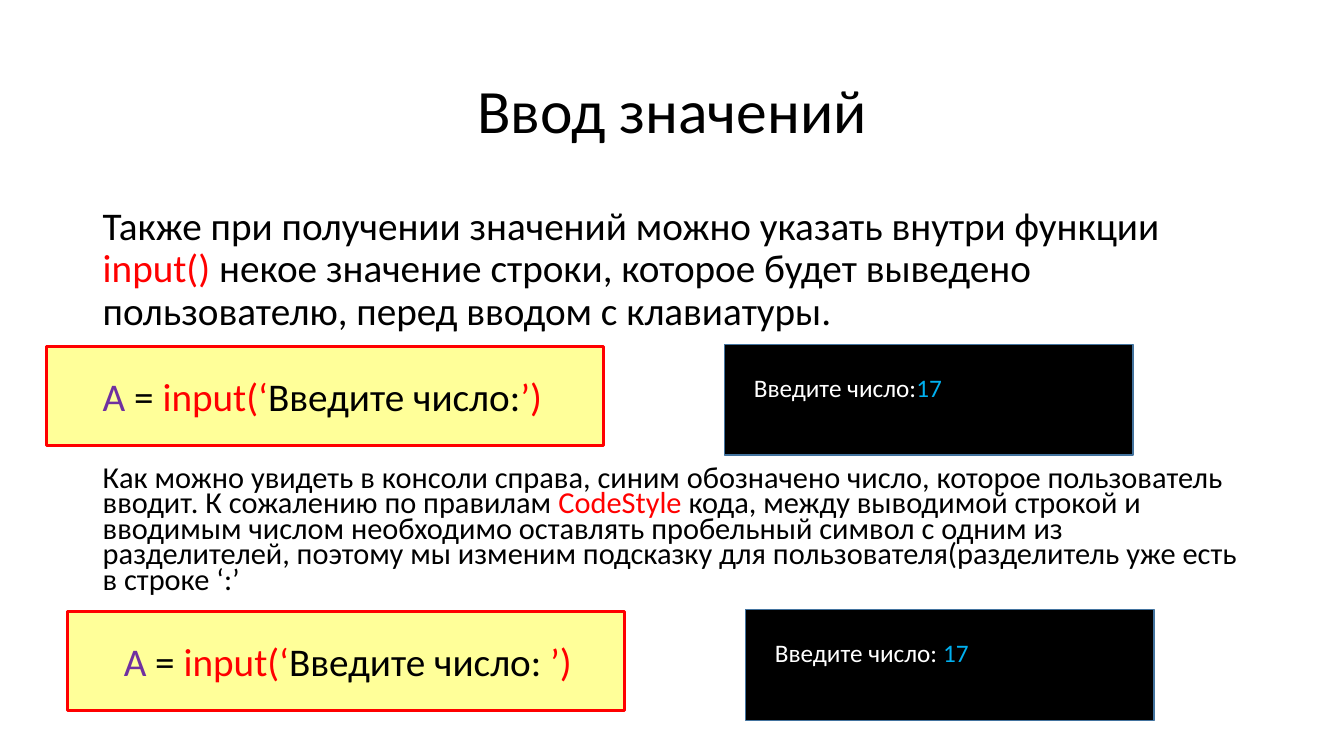
from dataclasses import dataclass

from pptx import Presentation
from pptx.dml.color import RGBColor
from pptx.enum.shapes import MSO_SHAPE
from pptx.enum.text import MSO_ANCHOR, MSO_AUTO_SIZE, PP_ALIGN
from pptx.util import Cm, Pt


@dataclass(frozen=True)
class Theme:
    font: str = "Calibri"
    ink: str = "000000"
    keyword: str = "FF0000"
    variable: str = "7030A0"
    code_fill: str = "FFFF99"
    console_fill: str = "000000"
    console_line: str = "43739E"
    console_ink: str = "FFFFFF"
    typed: str = "00B0F0"
    title_size: float = 44
    body_size: float = 28
    note_size: float = 21.7
    console_size: float = 18


THEME = Theme()

# Content: runs of (text, colour)
TITLE = [("Ввод значений", THEME.ink)]
INTRO = [
    ("Также при получении значений можно указать внутри функции ", THEME.ink),
    ("input() ", THEME.keyword),
    ("некое значение строки, которое будет выведено пользователю, "
     "перед вводом с клавиатуры.", THEME.ink),
]
NOTE = [
    ("Как можно увидеть в консоли справа, синим обозначено число, которое "
     "пользователь вводит. К сожалению по правилам ", THEME.ink),
    ("CodeStyle", THEME.keyword),
    (" кода, между выводимой строкой и вводимым числом необходимо оставлять "
     "пробельный символ с одним из разделителей, поэтому мы изменим подсказку "
     "для пользователя(разделитель уже есть в строке ‘:’", THEME.ink),
]
# Each example: prompt, typed value, left and top of its code panel
# and width of its code text in cm
EXAMPLES = [
    ("Введите число:", "17", 1.17, 8.74, 11.71),
    ("Введите число: ", "17", 1.7, 15.42, 11.94),
]

# Layout in cm
SLIDE_W, SLIDE_H = 33.87, 19.05
MARGIN, COLUMN_W = 2.34, 29.21
CODE_W, CODE_H = 14.05, 2.49
CONSOLE_W, CONSOLE_H = 10.29, 2.79
CONSOLE_DX, CONSOLE_DY = 17.09, -0.06
CODE_TEXT_DX, CONSOLE_TEXT_DX, TEXT_DY = 1.17, 17.58, 0.51


def add_text(slide, runs, left, top, width, height, *, size, wrap=True,
             grow=False, anchor=MSO_ANCHOR.TOP, align=PP_ALIGN.LEFT,
             spacing=1.0, before=0):
    box = slide.shapes.add_textbox(Cm(left), Cm(top), Cm(width), Cm(height))
    frame = box.text_frame
    frame.word_wrap = wrap
    frame.auto_size = (MSO_AUTO_SIZE.SHAPE_TO_FIT_TEXT if grow
                       else MSO_AUTO_SIZE.NONE)
    frame.vertical_anchor = anchor
    paragraph = frame.paragraphs[0]
    paragraph.alignment = align
    paragraph.line_spacing = spacing
    paragraph.space_before = Pt(before)
    for words, colour in runs:
        run = paragraph.add_run()
        run.text = words
        run.font.name = THEME.font
        run.font.size = Pt(size)
        run.font.color.rgb = RGBColor.from_string(colour)


def add_panel(slide, left, top, width, height, fill, line, weight):
    panel = slide.shapes.add_shape(MSO_SHAPE.RECTANGLE, Cm(left), Cm(top),
                                   Cm(width), Cm(height))
    panel.shadow.inherit = False
    panel.fill.solid()
    panel.fill.fore_color.rgb = RGBColor.from_string(fill)
    panel.line.color.rgb = RGBColor.from_string(line)
    panel.line.width = Pt(weight)


def add_example(slide, prompt, value, left, top, code_text_w):
    # Code on the left
    add_panel(slide, left, top, CODE_W, CODE_H,
              THEME.code_fill, THEME.keyword, 2.25)
    code = [("A", THEME.variable), (" = ", THEME.ink),
            ("input(‘", THEME.keyword), (prompt, THEME.ink),
            ("’)", THEME.keyword)]
    add_text(slide, code, left + CODE_TEXT_DX, top + TEXT_DY, code_text_w,
             1.45, size=THEME.body_size, wrap=False, grow=True)

    # Console on the right
    add_panel(slide, left + CONSOLE_DX, top + CONSOLE_DY, CONSOLE_W, CONSOLE_H,
              THEME.console_fill, THEME.console_line, 1)
    console = [(prompt, THEME.console_ink), (value, THEME.typed)]
    add_text(slide, console, left + CONSOLE_TEXT_DX, top + TEXT_DY, 11.48,
             1.02, size=THEME.console_size, grow=True)


def main():
    deck = Presentation()
    deck.slide_width, deck.slide_height = Cm(SLIDE_W), Cm(SLIDE_H)
    slide = deck.slides.add_slide(deck.slide_layouts[6])

    # Title and explanations
    add_text(slide, TITLE, MARGIN, 1.02, COLUMN_W, 3.68, size=THEME.title_size,
             anchor=MSO_ANCHOR.MIDDLE, align=PP_ALIGN.CENTER, spacing=0.9)
    add_text(slide, INTRO, MARGIN, 5.08, COLUMN_W, 3.61,
             size=THEME.body_size, spacing=0.9, before=10)
    add_text(slide, NOTE, MARGIN, 11.66, COLUMN_W, 3.61,
             size=THEME.note_size, spacing=0.7, before=10)

    # Code with its console output
    for example in EXAMPLES:
        add_example(slide, *example)

    deck.save("out.pptx")


if __name__ == "__main__":
    main()
